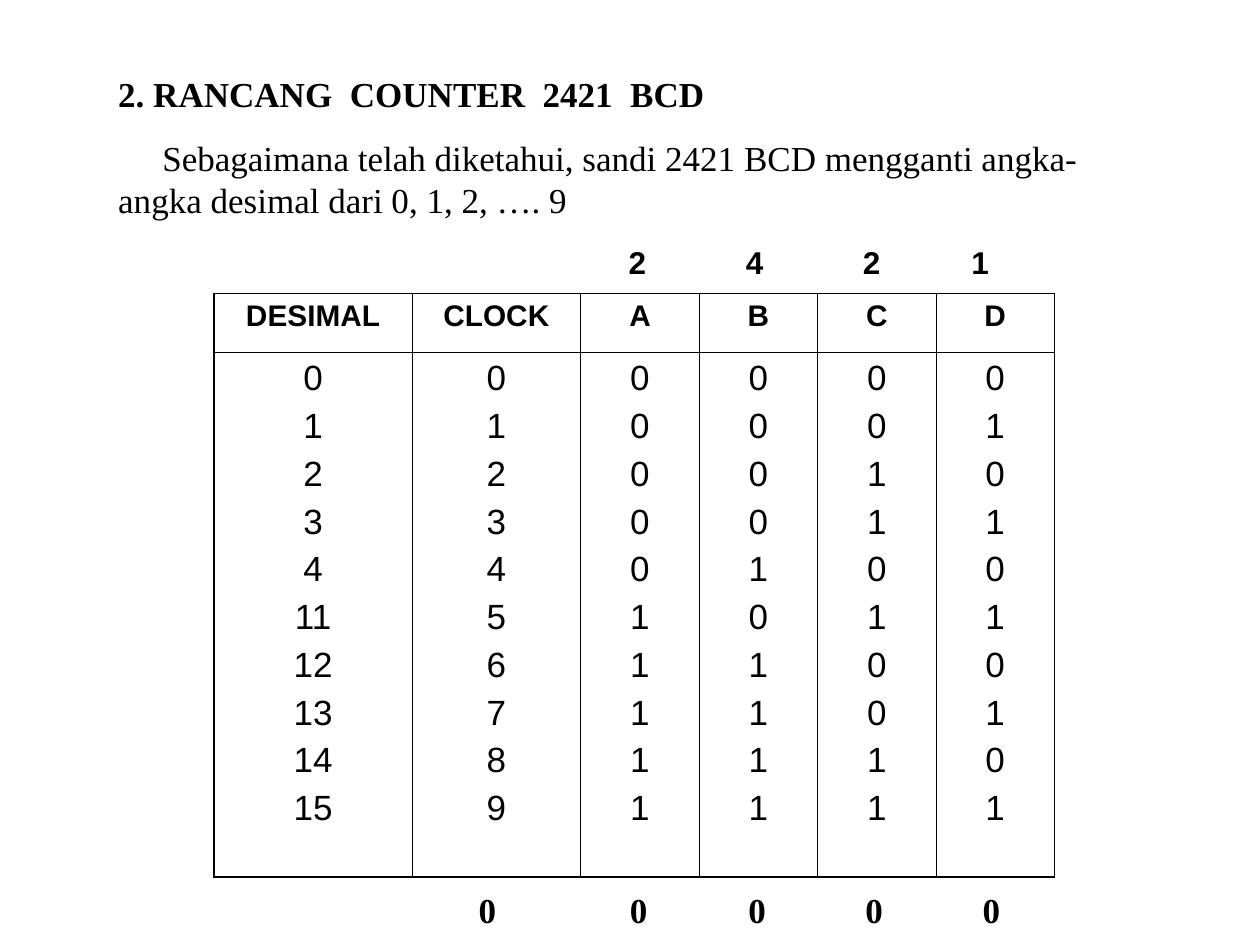
import dataclasses

import lxml.etree
import pptx
import pptx.dml.color
import pptx.enum.text
import pptx.oxml.ns
import pptx.util

Inches = pptx.util.Inches
Pt = pptx.util.Pt


@dataclasses.dataclass(frozen=True)
class Theme:
    ink: str = "000000"
    serif: str = "Times New Roman"
    sans: str = "Arial"
    body: float = 20
    weight: float = 18
    header: float = 17
    outer_line: float = 1.08
    inner_line: float = 0.45


theme = Theme()


def style(paragraph, face, size, bold=False):
    paragraph.font.name = face
    paragraph.font.size = Pt(size)
    paragraph.font.bold = bold
    paragraph.font.color.rgb = pptx.dml.color.RGBColor.from_string(theme.ink)


def add_box(left, top, width, height):
    box = page.shapes.add_textbox(Inches(left), Inches(top), Inches(width), Inches(height))
    box.text_frame.word_wrap = True
    box.text_frame.auto_size = pptx.enum.text.MSO_AUTO_SIZE.SHAPE_TO_FIT_TEXT
    return box.text_frame


deck = pptx.Presentation()
deck.slide_width, deck.slide_height = Inches(10), Inches(7.5)
page = deck.slides.add_slide(deck.slide_layouts[6])

# Counter table: one header row, one tall row with a paragraph per state
states = [0, 1, 2, 3, 4, 11, 12, 13, 14, 15]
columns = {"DESIMAL": states, "CLOCK": range(10)}
for name, bit in zip("ABCD", (3, 2, 1, 0)):
    columns[name] = [state >> bit & 1 for state in states]
columns["C"] = [0, 0, 1, 1, 0, 1, 0, 0, 1, 1]
widths = [1.57, 1.34] + [0.94] * 4
heights = [0.47, 4.16]

table = page.shapes.add_table(
    len(heights), len(widths), Inches(1.7), Inches(2.33), Inches(sum(widths)), Inches(sum(heights))
).table
table.first_row = table.horz_banding = False
for column, width in zip(table.columns, widths):
    column.width = Inches(width)
for row, height in zip(table.rows, heights):
    row.height = Inches(height)

for column_index, (heading, values) in enumerate(columns.items()):
    for row_index, lines in enumerate(([heading], values)):
        cell = table.cell(row_index, column_index)
        cell.text = "\n".join(str(line) for line in lines)
        for index, para in enumerate(cell.text_frame.paragraphs):
            para.alignment = pptx.enum.text.PP_ALIGN.CENTER
            para.space_before = Pt(5 if index else 0)
            style(para, theme.sans, theme.body if row_index else theme.header, row_index == 0)

        # Heavier line around the table, thin lines inside
        on_edge = {
            "lnL": column_index == 0,
            "lnR": column_index == len(widths) - 1,
            "lnT": row_index == 0,
            "lnB": row_index == len(heights) - 1,
        }
        properties = cell._tc.get_or_add_tcPr()
        for side, outer in on_edge.items():
            line = lxml.etree.SubElement(properties, pptx.oxml.ns.qn("a:" + side))
            line.set("w", str(Pt(theme.outer_line if outer else theme.inner_line)))
            fill = lxml.etree.SubElement(line, pptx.oxml.ns.qn("a:solidFill"))
            lxml.etree.SubElement(fill, pptx.oxml.ns.qn("a:srgbClr")).set("val", theme.ink)
        cell.fill.background()

# Heading and introduction
intro = add_box(0.84, 0.53, 8.27, 1.28)
title = intro.paragraphs[0]
title.text = "2. RANCANG  COUNTER  2421  BCD"
style(title, theme.serif, theme.body, bold=True)
sentence = intro.add_paragraph()
sentence.text = "Sebagaimana telah diketahui, sandi 2421 BCD mengganti angka-angka desimal dari 0, 1, 2, …. 9"
sentence.space_before = Pt(12.5)
sentence._p.get_or_add_pPr().set("indent", str(Inches(0.35)))
style(sentence, theme.serif, theme.body)

# Bit weights above the table and the reset state below it, on centred tabs
digit_rows = [
    ((4.61, 1.88, 4.18, 0.4), "2421", (0.35, 1.28, 2.21, 3.07), theme.sans, theme.weight),
    ((3.36, 7, 4.96, 0.44), "00000", (0.41, 1.61, 2.55, 3.48, 4.41), theme.serif, theme.body),
]
for place, digits, stops, face, size in digit_rows:
    para = add_box(*place).paragraphs[0]
    para.text = "".join("\t" + digit for digit in digits)
    tabs = lxml.etree.SubElement(para._p.get_or_add_pPr(), pptx.oxml.ns.qn("a:tabLst"))
    for stop in stops:
        tab = lxml.etree.SubElement(tabs, pptx.oxml.ns.qn("a:tab"))
        tab.set("pos", str(Inches(stop)))
        tab.set("algn", "ctr")
    style(para, face, size, bold=True)

deck.save("out.pptx")
